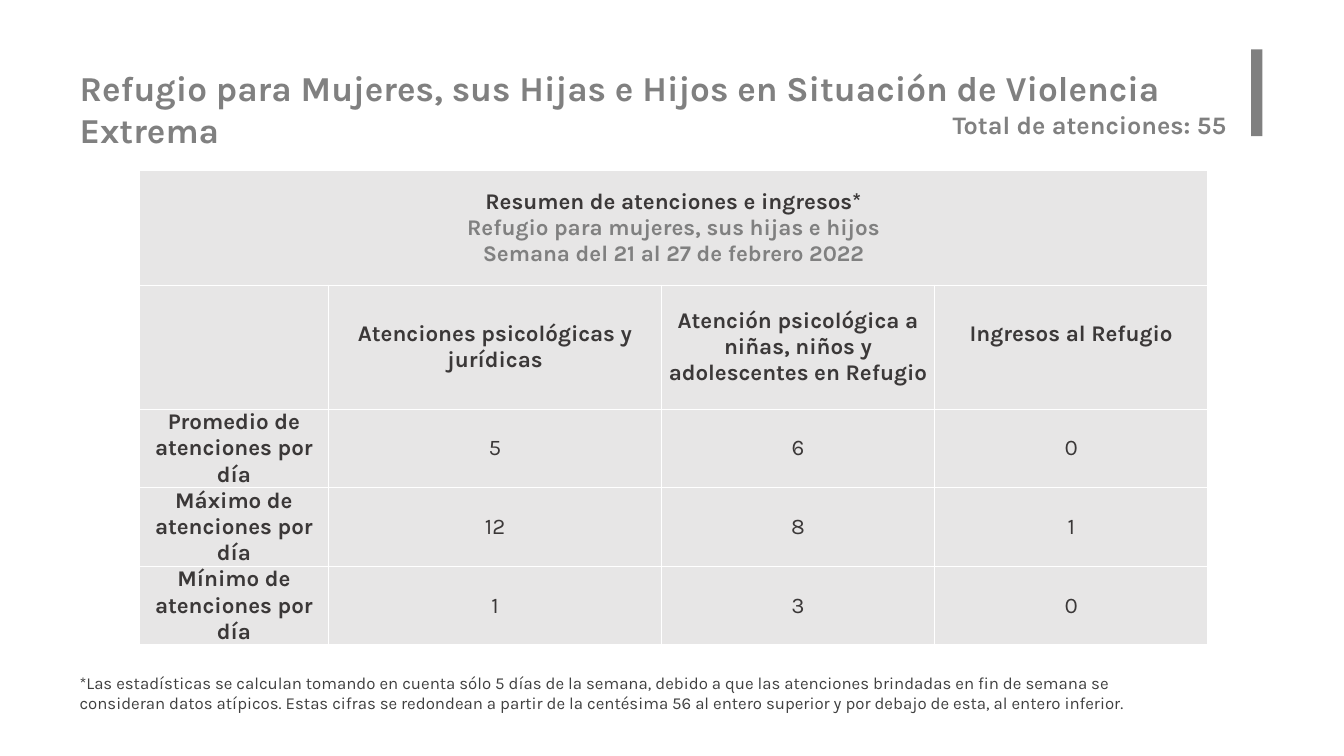
from lxml import etree
from pptx import Presentation
from pptx.dml.color import RGBColor
from pptx.enum import shapes, text
from pptx.oxml.ns import qn
from pptx.util import Inches, Pt

GRAY = RGBColor(0x80, 0x80, 0x80)
DARK = RGBColor(0x3B, 0x38, 0x38)
NOTE = RGBColor(0x40, 0x40, 0x40)
PALE = RGBColor(0xE7, 0xE6, 0xE6)
WHITE = RGBColor(0xFF, 0xFF, 0xFF)

TITLE = "Refugio para Mujeres, sus Hijas e Hijos en Situación de Violencia Extrema"
TOTAL = "Total de atenciones: 55"
FOOT = (
    "*Las estadísticas se calculan tomando en cuenta sólo 5 días de la semana, "
    "debido a que las atenciones brindadas en fin de semana se consideran datos "
    "atípicos. Estas cifras se redondean a partir de la centésima 56 al entero "
    "superior y por debajo de esta, al entero inferior."
)
BANNER = [
    ("Resumen de atenciones e ingresos*", DARK),
    ("Refugio para mujeres, sus hijas e hijos", GRAY),
    ("Semana del 21 al 27 de febrero 2022", GRAY),
]
ROWS = [
    ["", "Atenciones psicológicas y jurídicas",
     "Atención psicológica a niñas, niños y adolescentes en Refugio",
     "Ingresos al Refugio"],
    ["Promedio de atenciones por día", "5", "6", "0"],
    ["Máximo de atenciones por día", "12", "8", "1"],
    ["Mínimo de atenciones por día", "1", "3", "0"],
]
WIDTHS = [1.88, 3.3, 2.71, 2.71]
HEIGHTS = [1.14, 1.23, 0.76, 0.76, 0.76]


def write(frame, lines, size, bold=False, align=text.PP_ALIGN.LEFT):
    """Fill a text frame with one paragraph per (words, color) pair."""
    for i, (words, color) in enumerate(lines):
        para = frame.add_paragraph() if i else frame.paragraphs[0]
        para.alignment = align
        run = para.add_run()
        run.text = words
        form = {"name": "Karla", "size": Pt(size), "bold": bold}
        for key, value in form.items():
            setattr(run.font, key, value)
        run.font.color.rgb = color


def set_frame(shape, words, size, color, bold=False):
    frame = shape.text_frame
    form = {
        "word_wrap": True,
        "auto_size": text.MSO_AUTO_SIZE.NONE,
        "vertical_anchor": text.MSO_ANCHOR.TOP,
        "margin_left": Inches(0.1), "margin_right": Inches(0.1),
        "margin_top": Inches(0.05), "margin_bottom": Inches(0.05),
    }
    for key, value in form.items():
        setattr(frame, key, value)
    write(frame, [(words, color)], size, bold)


def style_cell(cell):
    # White borders come before the fill in the cell properties
    props = cell._tc.get_or_add_tcPr()
    for side in ("a:lnL", "a:lnR", "a:lnT", "a:lnB"):
        line = etree.SubElement(props, qn(side), w=str(Pt(1)))
        fill = etree.SubElement(line, qn("a:solidFill"))
        etree.SubElement(fill, qn("a:srgbClr"), val=str(WHITE))
    cell.fill.solid()
    cell.fill.fore_color.rgb = PALE
    cell.vertical_anchor = text.MSO_ANCHOR.MIDDLE
    for side in ("left", "right", "top", "bottom"):
        setattr(cell, "margin_" + side, 0)


def add_head(slide, left, top, width):
    # Title
    title = slide.shapes.title
    place = {"left": left, "top": top, "width": width, "height": Inches(0.52)}
    for key, value in place.items():
        setattr(title, key, value)
    set_frame(title, TITLE, 25, GRAY, True)

    # Total, flush with the right end of the title
    wide = Inches(3.06)
    total = slide.shapes.add_textbox(
        left + width - wide, top + Inches(0.43), wide, Inches(0.4))
    set_frame(total, TOTAL, 18, GRAY, True)

    # Accent bar
    bar = slide.shapes.add_shape(
        shapes.MSO_SHAPE.RECTANGLE, left + width, top - Inches(0.12),
        Inches(0.11), Inches(0.86))
    bar.shadow.inherit = False
    bar.fill.solid()
    bar.fill.fore_color.rgb = GRAY
    bar.line.fill.background()


def add_grid(slide, left, top, width, height):
    table = slide.shapes.add_table(
        len(HEIGHTS), len(WIDTHS), left, top, width, height).table
    table.first_row = table.horz_banding = False
    for col, size in zip(table.columns, WIDTHS):
        col.width = Inches(size)
    for row, size in zip(table.rows, HEIGHTS):
        row.height = Inches(size)
    for cell in table.iter_cells():
        style_cell(cell)

    # Banner across all columns
    center = text.PP_ALIGN.CENTER
    table.cell(0, 0).merge(table.cell(0, len(WIDTHS) - 1))
    write(table.cell(0, 0).text_frame, BANNER, 16, True, center)

    # Headings, row labels and counts
    for r, row in enumerate(ROWS, 1):
        for c, words in enumerate(row):
            if words:
                bold = r == 1 or c == 0
                write(table.cell(r, c).text_frame, [(words, DARK)], 16, bold, center)
    # The last heading sits level with the first line of its neighbor
    table.cell(1, 3).margin_bottom = Inches(0.26)


def add_foot(slide, left, top, width, height):
    box = slide.shapes.add_textbox(left, top, width, height)
    set_frame(box, FOOT, 12, NOTE)


def main():
    deck = Presentation()
    deck.slide_width, deck.slide_height = Inches(13.33), Inches(7.5)
    slide = deck.slides.add_slide(deck.slide_layouts[5])
    add_head(slide, Inches(0.69), Inches(0.61), Inches(11.72))
    add_grid(slide, Inches(1.38), Inches(1.69),
             Inches(sum(WIDTHS)), Inches(sum(HEIGHTS)))
    add_foot(slide, Inches(0.69), Inches(6.62), Inches(11.05), Inches(0.5))
    deck.save("out.pptx")


if __name__ == "__main__":
    main()
